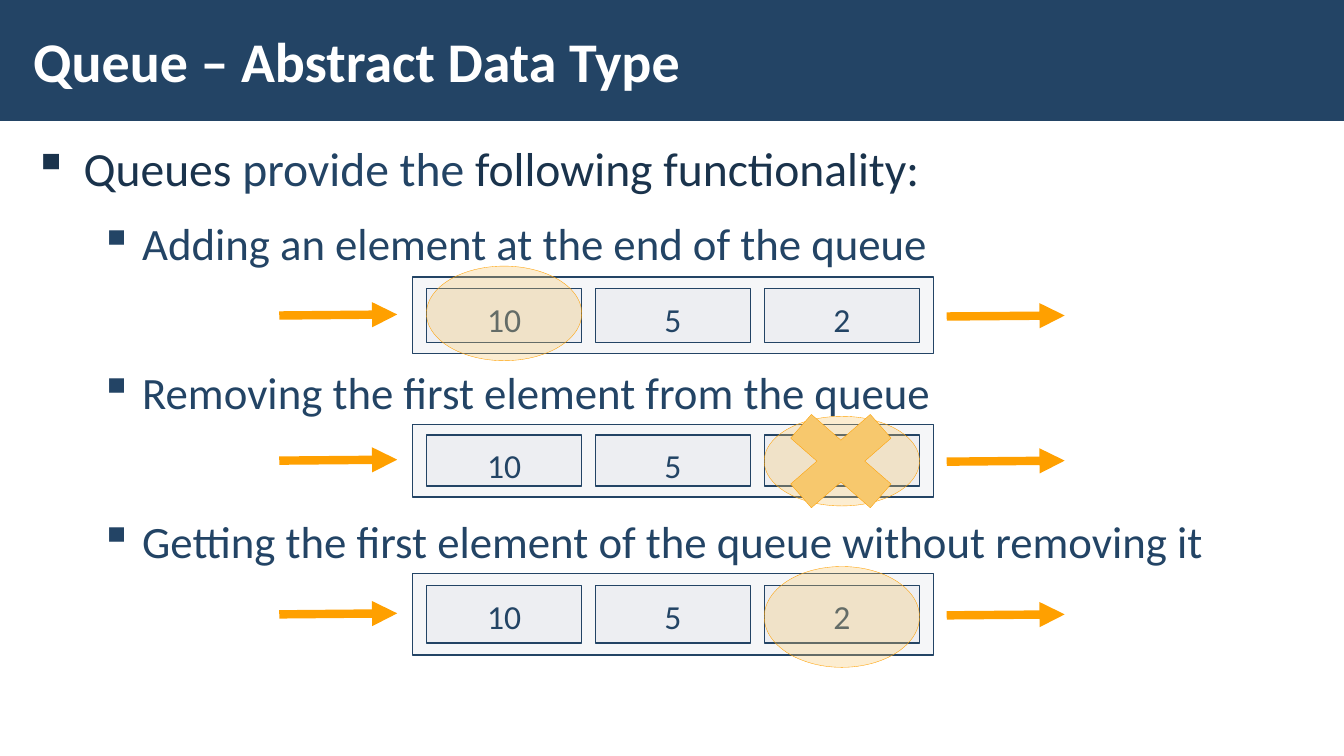
from lxml import etree
from pptx import Presentation
from pptx import util as u
from pptx.dml.color import RGBColor
from pptx.enum import shapes, text
from pptx.oxml import ns

NAVY = RGBColor(0x23, 0x44, 0x65)
DARK = RGBColor(0x1A, 0x33, 0x4C)
WHITE = RGBColor(0xFF, 0xFF, 0xFF)
GREY = RGBColor(0xC2, 0xC7, 0xD2)
ORANGE = RGBColor(0xFF, 0xA0, 0x00)
AMBER = RGBColor(0xF7, 0xC8, 0x6D)
SHAPE = shapes.MSO_SHAPE

VALUES = ["10", "5", "2"]
CELL_LEFT, CELL_PITCH, CELL_WIDTH = 4.23, 1.675, 1.54
QUEUES = [
    {"top": 2.75, "height": 0.76, "mark_top": 2.64, "marked": 0},
    {"top": 4.21, "height": 0.72, "mark_top": 4.13, "marked": 2, "crossed": True},
    {"top": 5.69, "height": 0.81, "mark_top": 5.62, "marked": 2},
]
OPERATIONS = [
    "Adding an element at the end of the queue",
    "Removing the first element from the queue",
    "Getting the first element of the queue without removing it",
]


class SlideBuilder:
    """Draws styled elements on the current slide."""

    def __init__(self, slide, font="Calibri"):
        self.slide = slide
        self.shapes = slide.shapes
        self.font = font

    def start_group(self):
        self.shapes = self.slide.shapes.add_group_shape().shapes

    def style(self, paragraph, size, color, bold=False):
        paragraph.font.name = self.font
        paragraph.font.size = u.Pt(size)
        paragraph.font.color.rgb = color
        paragraph.font.bold = bold

    def shape(self, kind, box, fill, line=None, line_width=1, opacity=100):
        shape = self.shapes.add_shape(kind, *map(u.Inches, box))
        shape.shadow.inherit = False
        shape.fill.solid()
        shape.fill.fore_color.rgb = fill
        if opacity < 100:
            color = shape.fill._xPr.find(".//" + ns.qn("a:srgbClr"))
            etree.SubElement(color, ns.qn("a:alpha"), val=str(opacity * 1000))
        if line is None:
            shape.line.fill.background()
        else:
            shape.line.color.rgb = line
            shape.line.width = u.Pt(line_width)
        return shape

    def cell(self, value, box):
        frame = self.shape(SHAPE.RECTANGLE, box, GREY, NAVY, opacity=15).text_frame
        frame.vertical_anchor = text.MSO_ANCHOR.TOP
        frame.margin_top, frame.margin_bottom = u.Inches(0.1), 0
        paragraph = frame.paragraphs[0]
        paragraph.text = value
        paragraph.alignment = text.PP_ALIGN.CENTER
        self.style(paragraph, 24, NAVY)

    def arrow(self, left, y):
        ends = map(u.Inches, (left, y, left + 1.17, y - 0.01))
        arrow = self.shapes.add_connector(shapes.MSO_CONNECTOR.STRAIGHT, *ends)
        arrow.line.color.rgb = ORANGE
        arrow.line.width = u.Pt(6)
        etree.SubElement(arrow.line._get_or_add_ln(), ns.qn("a:tailEnd"), type="triangle")
        etree.SubElement(arrow._element.spPr, ns.qn("a:effectLst"))

    def text_box(self, box, anchor=text.MSO_ANCHOR.TOP):
        frame = self.shapes.add_textbox(*map(u.Inches, box)).text_frame
        frame.word_wrap = True
        frame.vertical_anchor = anchor
        frame.margin_left = frame.margin_right = u.Inches(0.12)
        frame.margin_top = frame.margin_bottom = u.Inches(0.04)
        return frame

    def bullet(self, paragraph, level, margin, hang, size, color, before=6):
        paragraph.level = level
        paragraph.line_spacing = 1.05
        paragraph.space_before, paragraph.space_after = u.Pt(before), u.Pt(6)
        self.style(paragraph, size, color)
        properties = paragraph._p.get_or_add_pPr()
        properties.set("marL", str(u.Inches(margin)))
        properties.set("indent", str(-u.Inches(hang)))
        mark = etree.Element(ns.qn("a:buChar"), char="▪")
        properties.find(ns.qn("a:defRPr")).addprevious(mark)

    def queue(self, top, height, mark_top, marked, crossed=False):
        self.start_group()
        self.shape(SHAPE.RECTANGLE, (4.09, top, 5.17, height), GREY, NAVY, opacity=15)
        lefts = [CELL_LEFT + index * CELL_PITCH for index in range(len(VALUES))]
        for value, left in zip(VALUES, lefts):
            self.cell(value, (left, top + 0.145 * height, CELL_WIDTH, 0.706 * height))
        middle = top + height / 2
        self.arrow(9.39, middle + 0.01)
        self.arrow(2.77, middle)
        mark = (lefts[marked], mark_top, CELL_WIDTH, 1.235 * height)
        self.shape(SHAPE.OVAL, mark, AMBER, ORANGE, 0.25, 31)
        if crossed:
            cross = (lefts[marked], middle - 0.66, 1.52, 1.33)
            self.shape(SHAPE.MATH_MULTIPLY, cross, AMBER, ORANGE, 0.25)


def main():
    presentation = Presentation()
    presentation.slide_width = u.Inches(13.33)
    presentation.slide_height = u.Inches(7.5)
    builder = SlideBuilder(presentation.slides.add_slide(presentation.slide_layouts[6]))

    builder.shape(SHAPE.RECTANGLE, (0, 0, 13.33, 1.2), NAVY)
    body = builder.text_box((0.21, 1.31, 12.92, 5.69))
    intro = body.paragraphs[0]
    for words, color in [("Queues ", DARK), ("provide the", NAVY),
                         (" following functionality:", DARK)]:
        run = intro.add_run()
        run.text = words
        run.font.color.rgb = color
    builder.bullet(intro, 0, 0.5, 0.5, 34, DARK)
    for index, operation in enumerate(OPERATIONS):
        paragraph = body.add_paragraph()
        paragraph.text = operation
        builder.bullet(paragraph, 1, 1.08, 0.42, 32, NAVY, before=60 if index else 6)

    title = builder.text_box((0.21, 0.11, 10.4, 0.97), text.MSO_ANCHOR.MIDDLE).paragraphs[0]
    title.text = "Queue – Abstract Data Type"
    builder.style(title, 40, WHITE, bold=True)

    for queue in QUEUES:
        builder.queue(**queue)
    presentation.save("out.pptx")


if __name__ == "__main__":
    main()
